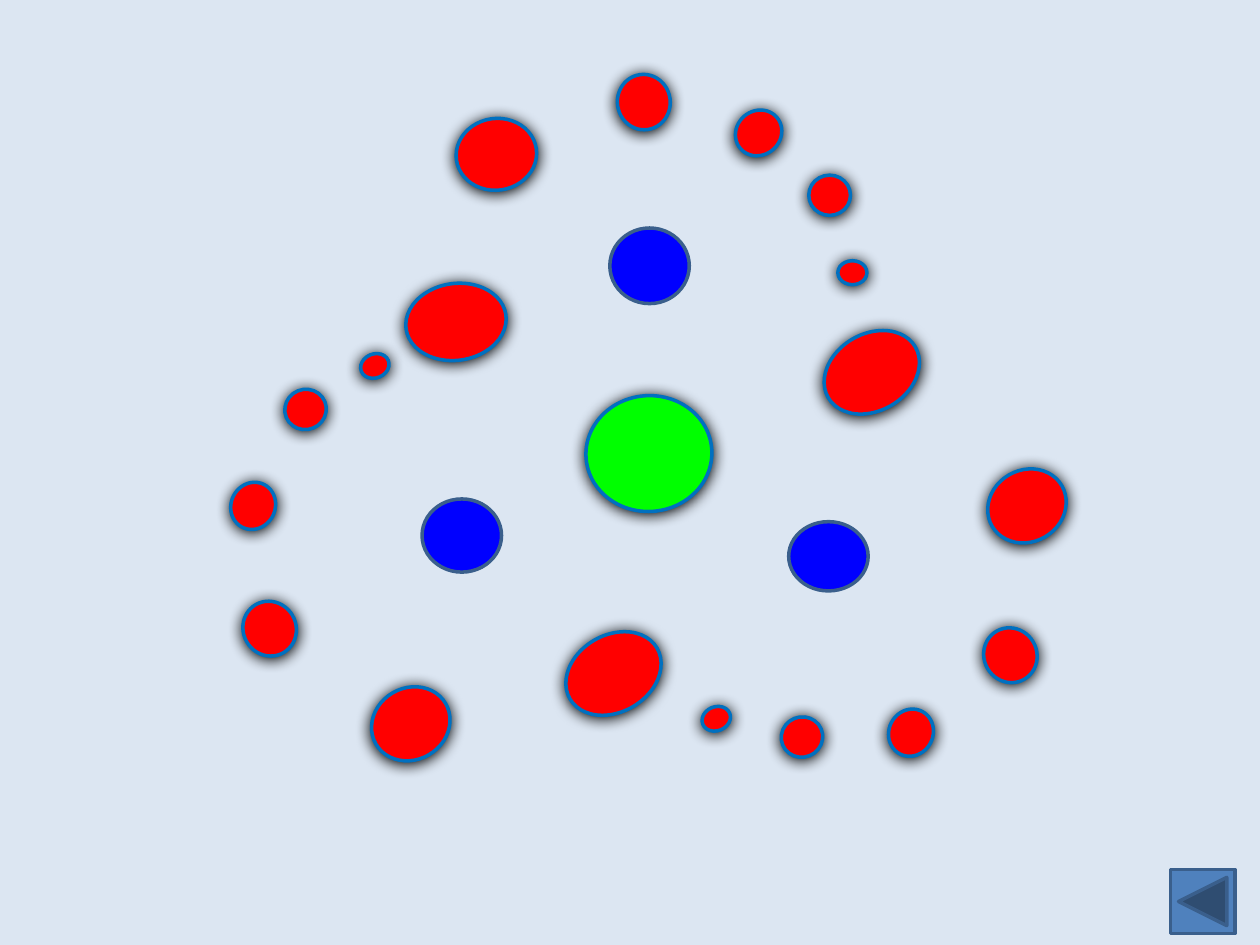
"""Build a slide of three spiral arms of ellipses around a green centre."""
from typing import NamedTuple

from lxml import etree
from pptx import Presentation
from pptx import util as u
from pptx.dml.color import RGBColor
from pptx.enum import shapes
from pptx.oxml.ns import qn

BACKGROUND = RGBColor(0xDC, 0xE6, 0xF2)
RED = RGBColor(0xFF, 0x00, 0x00)
GREEN = RGBColor(0x00, 0xFF, 0x00)
BLUE = RGBColor(0x00, 0x00, 0xFF)
BUTTON = RGBColor(0x4F, 0x81, 0xBD)
OUTLINE = RGBColor(0x00, 0x70, 0xC0)
DARK_OUTLINE = RGBColor(0x3A, 0x5F, 0x8C)
OVAL = shapes.MSO_SHAPE.OVAL


class Step(NamedTuple):
    width: float
    height: float
    rotation: float


class Arm(NamedTuple):
    turn: float
    corners: list[tuple[float, float]]


class Box(NamedTuple):
    left: float
    top: float
    width: float
    height: float


STEPS = [
    Step(16.6, 13.7, 0),
    Step(23.8, 23, 0),
    Step(27.4, 25.2, 319.4),
    Step(30.2, 31.7, 351.9),
    Step(46.1, 41, 351.9),
    Step(57.6, 43.9, 351.9),
]
ARMS = [
    Arm(0, [(478.8, 149), (462.2, 100.1), (419.8, 63.4),
            (352.8, 42.5), (260.6, 67.7), (231.8, 162)]),
    Arm(-22.2, [(205.9, 202.3), (162.7, 222.5), (131, 276.5),
                (139, 343.4), (211.7, 393.1), (321.8, 362.9)]),
    Arm(-22.2, [(401, 403.9), (446.4, 409.7), (506.9, 406.1),
                (562.3, 358.6), (563.8, 268.6), (469.4, 190.8)]),
]
BLUE_BOXES = [
    Box(241.2, 285.1, 45.4, 41.8),
    Box(450.7, 298.1, 45.4, 39.6),
    Box(348.5, 130.3, 45.4, 43.2),
]
CENTRE = Box(334.8, 226.1, 72, 66.2)
BACK_BUTTON = Box(668.9, 496.8, 36.7, 36.7)


def add_shape(s, kind, box: Box, fill: RGBColor, line: RGBColor, rotation: float = 0):
    sp = s.shapes.add_shape(kind, *(u.Pt(value) for value in box))
    sp.rotation = rotation
    sp.shadow.inherit = False
    sp.fill.solid()
    sp.fill.fore_color.rgb = fill
    sp.line.color.rgb = line
    sp.line.width = u.Pt(2)
    return sp


def add_glowing_oval(s, box: Box, fill: RGBColor, rotation: float) -> None:
    sp = add_shape(s, OVAL, box, fill, OUTLINE, rotation)
    effects = sp._element.spPr.find(qn("a:effectLst"))
    shadow = etree.SubElement(
        effects, qn("a:outerShdw"), blurRad=str(u.Pt(8.5)), dist=str(u.Pt(1)),
        dir="5400000", algn="ctr", rotWithShape="0")
    etree.SubElement(shadow, qn("a:srgbClr"), val="000000")


def main() -> None:
    prs = Presentation()
    prs.slide_width, prs.slide_height = u.Pt(720), u.Pt(540)
    s = prs.slides.add_slide(prs.slide_layouts[6])
    s.background.fill.solid()
    s.background.fill.fore_color.rgb = BACKGROUND

    for box in BLUE_BOXES:
        add_shape(s, OVAL, box, BLUE, DARK_OUTLINE)
    add_glowing_oval(s, CENTRE, GREEN, 356.1)
    for arm in ARMS:
        for step, corner in zip(STEPS, arm.corners):
            box = Box(*corner, step.width, step.height)
            add_glowing_oval(s, box, RED, (step.rotation + arm.turn) % 360)

    button = add_shape(s, shapes.MSO_SHAPE.ACTION_BUTTON_FORWARD_OR_NEXT,
                       BACK_BUTTON, BUTTON, DARK_OUTLINE)
    button._element.spPr.find(qn("a:xfrm")).set("flipH", "1")
    prs.save("out.pptx")


if __name__ == "__main__":
    main()
